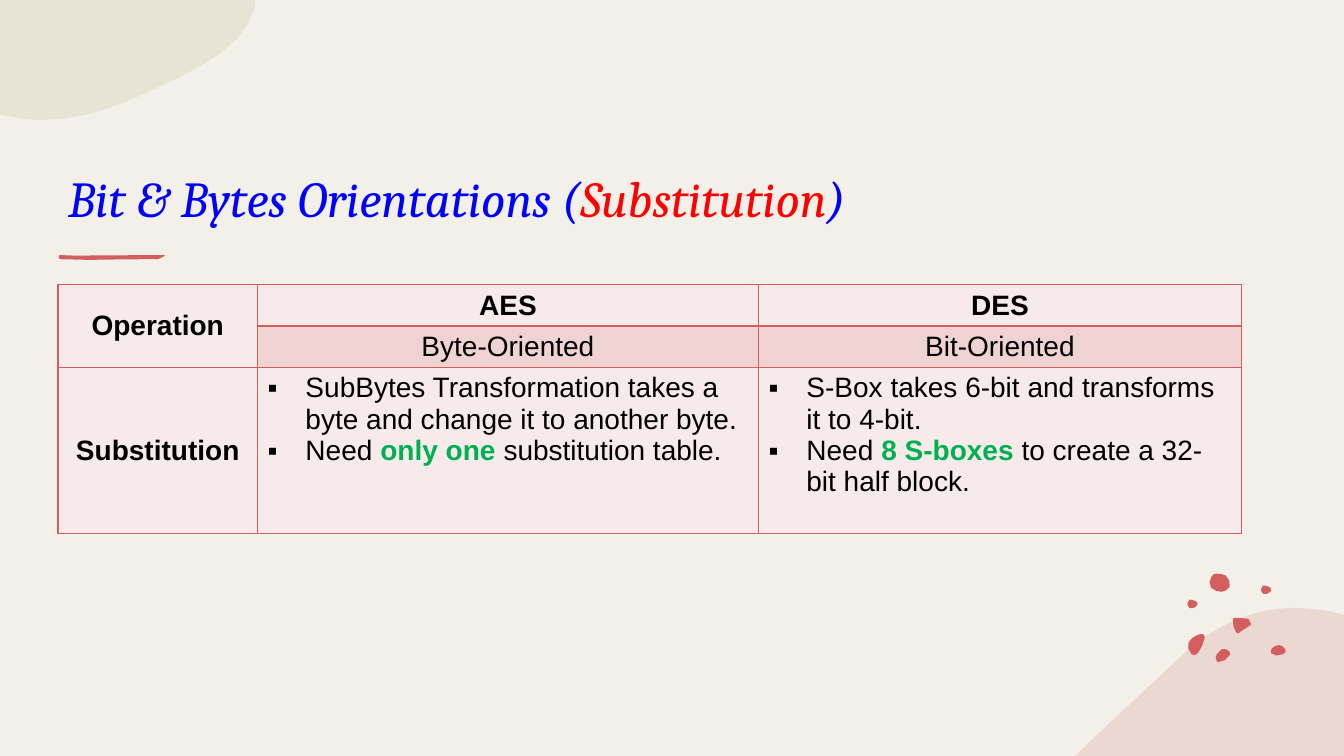
from lxml.etree import SubElement as Sub
from pptx import Presentation
from pptx.dml.color import RGBColor as RGB
from pptx.enum.text import MSO_ANCHOR as Anchor, PP_ALIGN as Align
from pptx.oxml import parse_xml
from pptx.oxml.ns import nsdecls, qn
from pptx.util import Pt

CREAM = RGB(0xF3, 0xF0, 0xE9)
SAGE = RGB(0xDC, 0xD9, 0xC3)
BLUSH = RGB(0xE5, 0xC4, 0xBA)
CORAL = RGB(0xD4, 0x5E, 0x5E)
PALE = RGB(0xF7, 0xEA, 0xEA)
ROSE = RGB(0xEF, 0xD2, 0xD2)
BLUE = RGB(0x00, 0x00, 0xFF)
RED = RGB(0xFF, 0x00, 0x00)
GREEN = RGB(0x00, 0xB0, 0x50)
BLACK = RGB(0x00, 0x00, 0x00)

# Outlines: a start point, then lines (x, y) and cubic curves (six numbers)
LEAF = [(0, 0), (182.2, 0), (182.2, 4.3),
        (176.4, 31.7, 144, 48.2, 113.8, 61.9),
        (88.6, 74.2, 61.9, 85.7, 29.5, 85.7),
        (22.3, 85.7, 15.8, 85, 9.4, 83.5), (0, 82.1)]
HILL = [(159, 0), (168.5, 0.7, 177.8, 1.4, 187.2, 3.6), (192, 5),
        (192, 105.8), (0, 105.8), (0.7, 105.1),
        (25.2, 81.4, 50.4, 58.3, 73.4, 36.7),
        (89.3, 20.9, 105.8, 11.5, 122.4, 5.8),
        (134.6, 1.4, 146.9, 0, 159, 0)]
STROKE = [(0.7, 0), (12, 0.4), (38, 0.2), (76.3, 0), (74.5, 1.4), (71.3, 2.9),
          (45, 3.1), (24, 3.4), (20, 3.4), (2, 3), (0, 2.2)]
SPECK = [(0, 3.6), (0, 3.6, 0, 0.7, 1.4, 0), (2.9, 0, 3.6, 0, 5, 0.7),
         (5.8, 0.7, 7.2, 1.4, 7.2, 2.9), (7.2, 3.6, 6.5, 5, 5.8, 5),
         (5.8, 5, 5.8, 5.8, 4.3, 5.8), (3.6, 5.8, 2.2, 6.5, 1.4, 5.8),
         (0.7, 4.3, 0, 4.3, 0, 3.6)]
BEAN = [(5, 0), (6.5, 0, 7.2, 0, 8.6, 0.7), (10.1, 1.4, 10.8, 2.9, 10.1, 4.3),
        (8.6, 6.5, 4.3, 10.1, 1.4, 9.4), (0.7, 8.6, 0, 7.2, 0, 5.8),
        (0, 4.3, 1.4, 2.2, 2.9, 1.4), (3.6, 0.7, 4.3, 0, 5, 0)]
DROP = [(8.6, 0), (10.1, 0, 11.5, 0, 11.5, 1.4), (11.5, 2.9),
        (10.8, 6.5, 9.4, 10.1, 7.2, 13), (5.8, 14.4, 3.6, 16.6, 2.2, 14.4),
        (0, 12.2, -0.7, 8.6, 0, 6.5), (0.7, 4.3, 2.2, 3.6, 3.6, 2.2),
        (4.3, 2.2, 6.5, 0, 8.6, 0)]
DOME = [(5.8, 0), (7.2, 0, 9.4, 1.4, 10.1, 2.9), (10.8, 4.3, 10.8, 5.8, 8.6, 6.5),
        (6.5, 7.9, 0.7, 7.9, 0, 5.8), (-0.7, 4.3, 0, 2.9, 0.7, 2.2),
        (2.2, 0.7, 3.6, 0, 5.8, 0)]
STONE = [(0.7, 8.6), (0, 8.6, -0.7, 4.3, 1.4, 2.2), (2.9, 0.7, 2.9, 0, 5, 0),
         (7.2, 0, 10.1, 0.7, 11.5, 1.4), (13, 2.9, 15.8, 6.5, 14.4, 9.4),
         (12.2, 11.5, 11.5, 13, 8.6, 13), (6.5, 13, 2.9, 12.2, 2.2, 10.8),
         (0.7, 10.1, 0.7, 9.4, 0.7, 8.6)]
WEDGE = [(3.6, 0), (7.9, 0, 15.8, 0, 13, 4.3), (13, 5, 12.2, 5.8, 11.5, 5.8),
         (9.4, 7.2, 7.2, 8.6, 5, 10.1), (4.3, 10.8, 3.6, 11.5, 2.9, 10.8),
         (2.2, 10.1), (0.7, 7.2, 0, 5, 0, 2.2), (0, 1.4, 0, 0.7, 0.7, 0)]
DOTS = [(BEAN, 20.2, 54), (DROP, 0.7, 43.2), (DOME, 59.8, 51.1),
        (STONE, 15.8, 0), (SPECK, 52.6, 8.6), (SPECK, 0, 18.7),
        (WEDGE, 32.4, 31.7)]

# Table content: runs are (text, colour, bold)
HEADS = [("AES", "Byte-Oriented"), ("DES", "Bit-Oriented")]
NOTES = [
    [[("SubBytes Transformation takes a byte and change it to another byte.", BLACK, False)],
     [("Need ", BLACK, False), ("only one ", GREEN, True),
      ("substitution table.", BLACK, False)]],
    [[("S-Box takes 6-bit and transforms it to 4-bit.", BLACK, False)],
     [("Need ", BLACK, False), ("8 S-boxes ", GREEN, True),
      ("to create a 32-bit half block.", BLACK, False)]],
]


def trace(path, steps):
    """Turn lines and cubic curves into a list of points."""
    pts = [path[0]]
    for seg in path[1:]:
        if len(seg) == 2:
            pts.append(seg)
            continue
        ends = [pts[-1], seg[:2], seg[2:4], seg[4:]]
        for i in range(1, steps + 1):
            t = i / steps
            u = 1 - t
            mix = (u ** 3, 3 * u * u * t, 3 * u * t * t, t ** 3)
            pts.append(tuple(sum(m * p[a] for m, p in zip(mix, ends)) for a in (0, 1)))
    return pts


def blob(slide, path, left, top, color, alpha=100, steps=6):
    pts = [(Pt(left + x), Pt(top + y)) for x, y in trace(path, steps)]
    form = slide.shapes.build_freeform(*pts[0])
    form.add_line_segments(pts[1:])
    shape = form.convert_to_shape()
    shape.shadow.inherit = False
    shape.line.fill.background()
    shape.fill.solid()
    shape.fill.fore_color.rgb = color
    if alpha < 100:
        tint = shape.fill._xPr.find(".//" + qn("a:srgbClr"))
        Sub(tint, qn("a:alpha"), val=str(alpha * 1000))


def dots(slide, left, top):
    for path, x, y in DOTS:
        blob(slide, path, left + x, top + y, CORAL, steps=2)


def heading(slide, left, top, width, height):
    title = slide.shapes.title
    title.left, title.top, title.width, title.height = map(Pt, (left, top, width, height))
    frame = title.text_frame
    frame.word_wrap = True
    frame.vertical_anchor = Anchor.BOTTOM
    para = frame.paragraphs[0]
    para.alignment = Align.LEFT
    font = para.font
    font.name, font.size, font.italic = "Cambria", Pt(36), True
    for text, color in (("Bit & Bytes Orientations (", BLUE),
                        ("Substitution", RED), (")", BLUE)):
        run = para.add_run()
        run.text = text
        run.font.color.rgb = color


def style(para, bold=False):
    font = para.font
    font.name, font.size, font.bold = "Arial", Pt(20), bold
    font.color.rgb = BLACK


def paint(cell, color):
    cell.fill.solid()
    cell.fill.fore_color.rgb = color
    props = cell._tc.get_or_add_tcPr()
    for i, side in enumerate("LRTB"):
        props.insert(i, parse_xml(
            f'<a:ln{side} {nsdecls("a")} w="{Pt(1)}"><a:solidFill>'
            f'<a:srgbClr val="{CORAL}"/></a:solidFill></a:ln{side}>'))


def label(cell, text, bold):
    cell.vertical_anchor = Anchor.MIDDLE
    para = cell.text_frame.paragraphs[0]
    para.text = text
    para.alignment = Align.CENTER
    style(para, bold)


def points(cell, items):
    cell.margin_right = Pt(8)
    frame = cell.text_frame
    for i, runs in enumerate(items):
        para = frame.add_paragraph() if i else frame.paragraphs[0]
        props = para._p.get_or_add_pPr()
        props.set("marL", str(Pt(27)))
        props.set("indent", str(Pt(-27)))
        Sub(props, qn("a:buFont"), typeface="Arial")
        Sub(props, qn("a:buChar"), char="▪")
        style(para)
        for text, color, bold in runs:
            run = para.add_run()
            run.text = text
            if bold:
                run.font.bold = True
                run.font.color.rgb = color


def grid(slide, left, top, width, height):
    table = slide.shapes.add_table(3, 3, *map(Pt, (left, top, width, height))).table
    table.first_row = table.horz_banding = False
    for col, size in zip(table.columns, (142.6, 357.8, width - 500.4)):
        col.width = Pt(size)
    for row, size in zip(table.rows, (29.6, 29.6, height - 59.2)):
        row.height = Pt(size)
    for r in range(3):
        for c in range(3):
            paint(table.cell(r, c), ROSE if r == 1 and c else PALE)
    # Row heads
    table.cell(0, 0).merge(table.cell(1, 0))
    label(table.cell(0, 0), "Operation", True)
    label(table.cell(2, 0), "Substitution", True)
    # Cipher columns
    for c, ((name, kind), items) in enumerate(zip(HEADS, NOTES), 1):
        label(table.cell(0, c), name, True)
        label(table.cell(1, c), kind, False)
        points(table.cell(2, c), items)


def main():
    deck = Presentation()
    deck.slide_width, deck.slide_height = Pt(960), Pt(540)
    slide = deck.slides.add_slide(deck.slide_layouts[5])
    slide.background.fill.solid()
    slide.background.fill.fore_color.rgb = CREAM
    # Decoration
    blob(slide, HILL, 768, 434.2, BLUSH, 50)
    dots(slide, 848.2, 409.7)
    blob(slide, LEAF, 0, 0, SAGE, 50)
    blob(slide, STROKE, 41.8, 182.2, CORAL)
    # Content
    heading(slide, 41.4, 62, 845.4, 104.2)
    grid(slide, 41.4, 203.3, 845.4, 177.8)
    deck.save("out.pptx")


if __name__ == "__main__":
    main()
